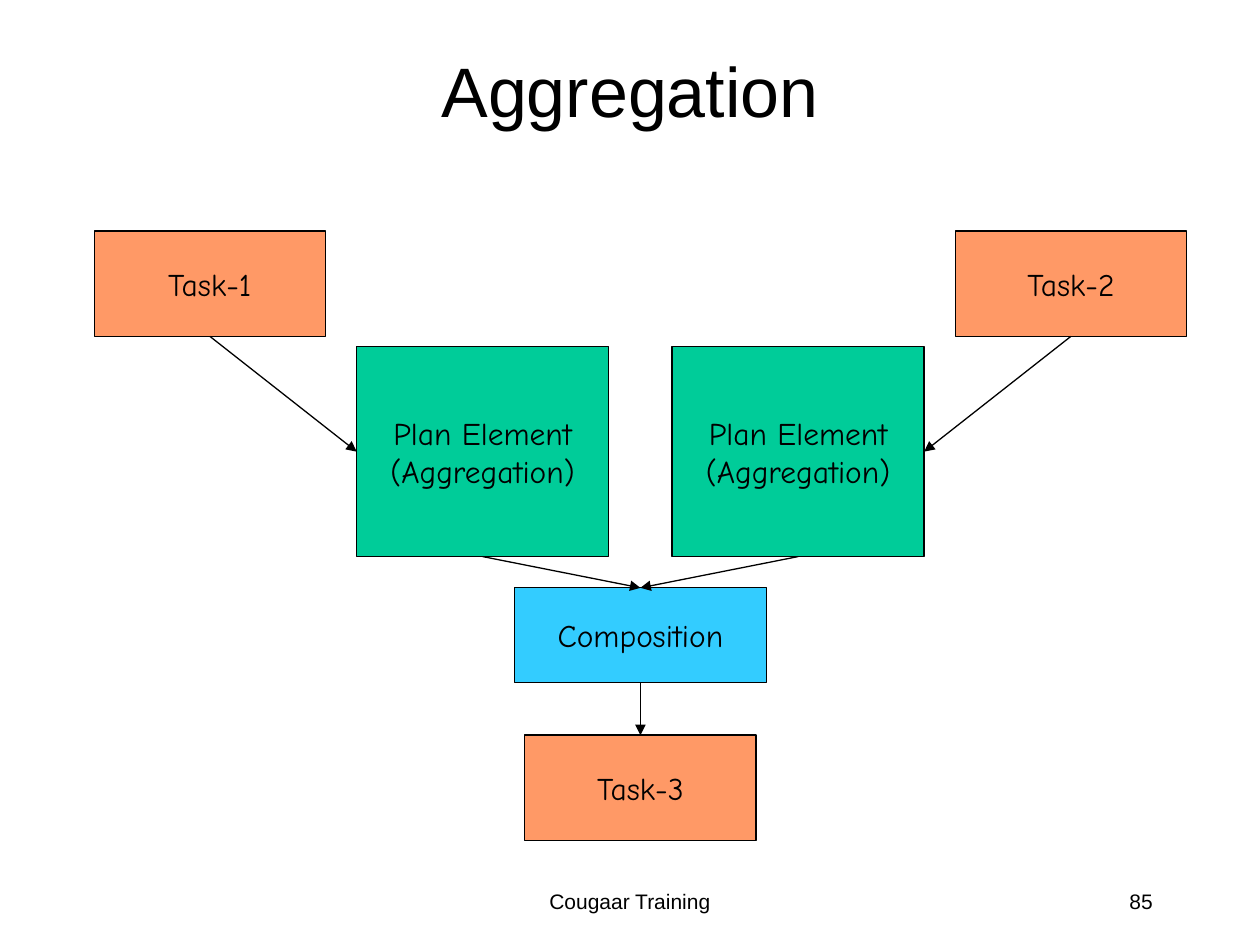
from lxml import etree
from pptx import Presentation
from pptx import util as u
from pptx.dml import color
from pptx.enum import shapes, text
from pptx.oxml import ns

BLACK, ORANGE, GREEN, BLUE = "000000", "FF9966", "00CC99", "33CCFF"
TOP, LEFT, BOTTOM, RIGHT = range(4)


def rgb(value):
    return color.RGBColor.from_string(value)


class Diagram:
    heading_font = "Arial"
    box_font = "Comic Neue"
    line_width = u.Pt(0.75)

    def __init__(self, slide):
        self.slide = slide

    def set_words(self, frame, words, size, font, align):
        frame.text = words
        for paragraph in frame.paragraphs:
            paragraph.alignment = align
            for run in paragraph.runs:
                run.font.size = u.Pt(size)
                run.font.name = font
                run.font.color.rgb = rgb(BLACK)

    def title(self, words, left, top, width, height):
        heading = self.slide.shapes.title
        heading.left, heading.top = u.Cm(left), u.Cm(top)
        heading.width, heading.height = u.Cm(width), u.Cm(height)
        heading.text_frame.vertical_anchor = text.MSO_ANCHOR.MIDDLE
        self.set_words(heading.text_frame, words, 40, self.heading_font, text.PP_ALIGN.CENTER)

    def box(self, words, center, top, width, height, fill):
        node = self.slide.shapes.add_shape(
            shapes.MSO_SHAPE.RECTANGLE,
            u.Cm(center - width / 2), u.Cm(top), u.Cm(width), u.Cm(height))
        node.shadow.inherit = False
        node.fill.solid()
        node.fill.fore_color.rgb = rgb(fill)
        node.line.color.rgb = rgb(BLACK)
        node.line.width = self.line_width
        node.text_frame.word_wrap = False
        node.text_frame.vertical_anchor = text.MSO_ANCHOR.MIDDLE
        self.set_words(node.text_frame, words, 18, self.box_font, text.PP_ALIGN.CENTER)
        return node

    def arrow(self, source, source_side, target, target_side):
        link = self.slide.shapes.add_connector(shapes.MSO_CONNECTOR.STRAIGHT, 0, 0, 0, 0)
        link.begin_connect(source, source_side)
        link.end_connect(target, target_side)
        link.line.color.rgb = rgb(BLACK)
        link.line.width = self.line_width
        properties = link._element.spPr
        etree.SubElement(properties.find(ns.qn("a:ln")), ns.qn("a:tailEnd"), type="triangle")
        etree.SubElement(properties, ns.qn("a:effectLst"))

    def footer(self, words, left, width, align):
        note = self.slide.shapes.add_textbox(u.Cm(left), u.Cm(17.78), u.Cm(width), u.Cm(1.27))
        note.text_frame.word_wrap = True
        self.set_words(note.text_frame, words, 12, self.heading_font, align)


def main():
    deck = Presentation()
    deck.slide_width, deck.slide_height = u.Cm(25.4), u.Cm(19.05)
    diagram = Diagram(deck.slides.add_slide(deck.slide_layouts[5]))
    diagram.title("Aggregation", 3.6, 0.21, 18.2, 3.18)

    axis = 12.91
    task_size = (4.66, 2.12)
    composition = diagram.box("Composition", axis, 11.85, 5.08, 1.91, BLUE)
    result_task = diagram.box("Task-3", axis, 14.82, *task_size, ORANGE)
    diagram.arrow(composition, BOTTOM, result_task, TOP)

    for task_name, direction, outer_side in (("Task-1", -1, LEFT), ("Task-2", 1, RIGHT)):
        task = diagram.box(task_name, axis + direction * 8.68, 4.66, *task_size, ORANGE)
        plan_element = diagram.box(
            "Plan Element\n(Aggregation)", axis + direction * 3.18, 6.99, 5.08, 4.23, GREEN)
        diagram.arrow(task, BOTTOM, plan_element, outer_side)
        diagram.arrow(plan_element, BOTTOM, composition, TOP)

    diagram.footer("Cougaar Training", 8.68, 8.04, text.PP_ALIGN.CENTER)
    diagram.footer("85", 18.2, 5.29, text.PP_ALIGN.RIGHT)
    deck.save("out.pptx")


if __name__ == "__main__":
    main()
